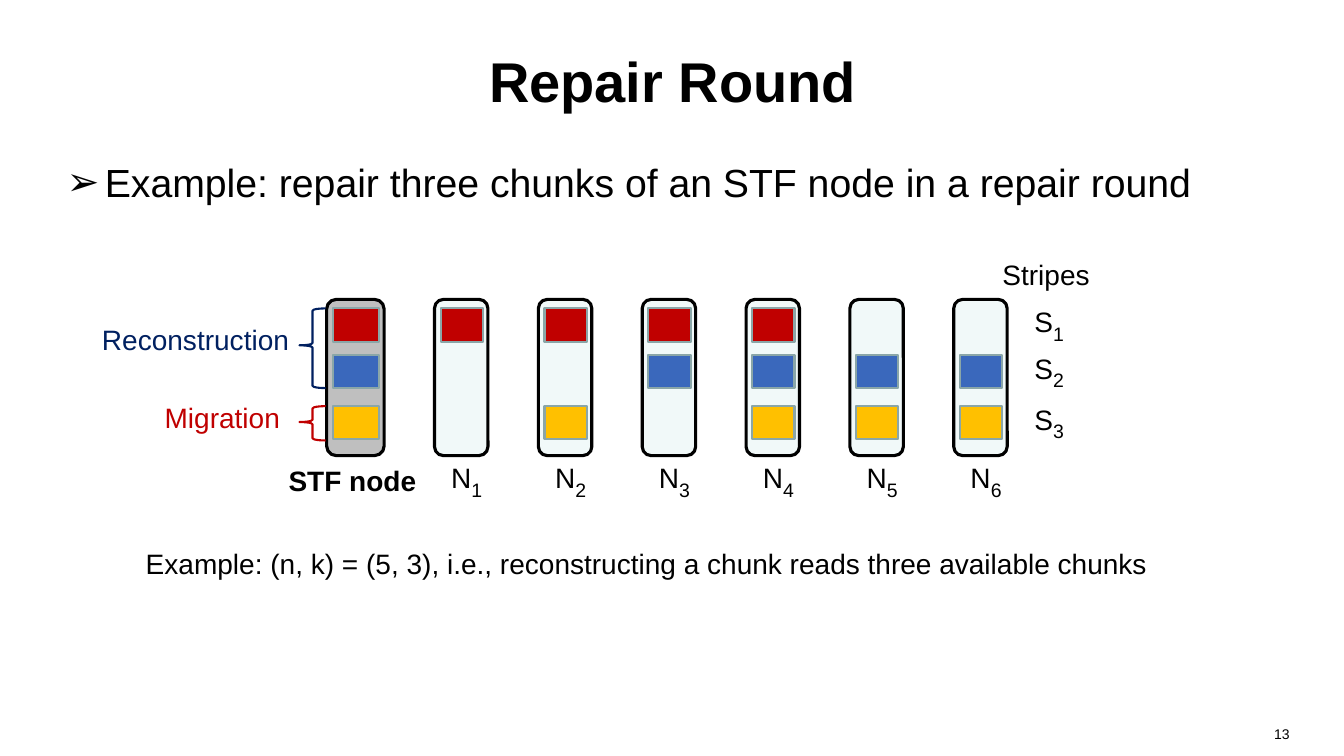
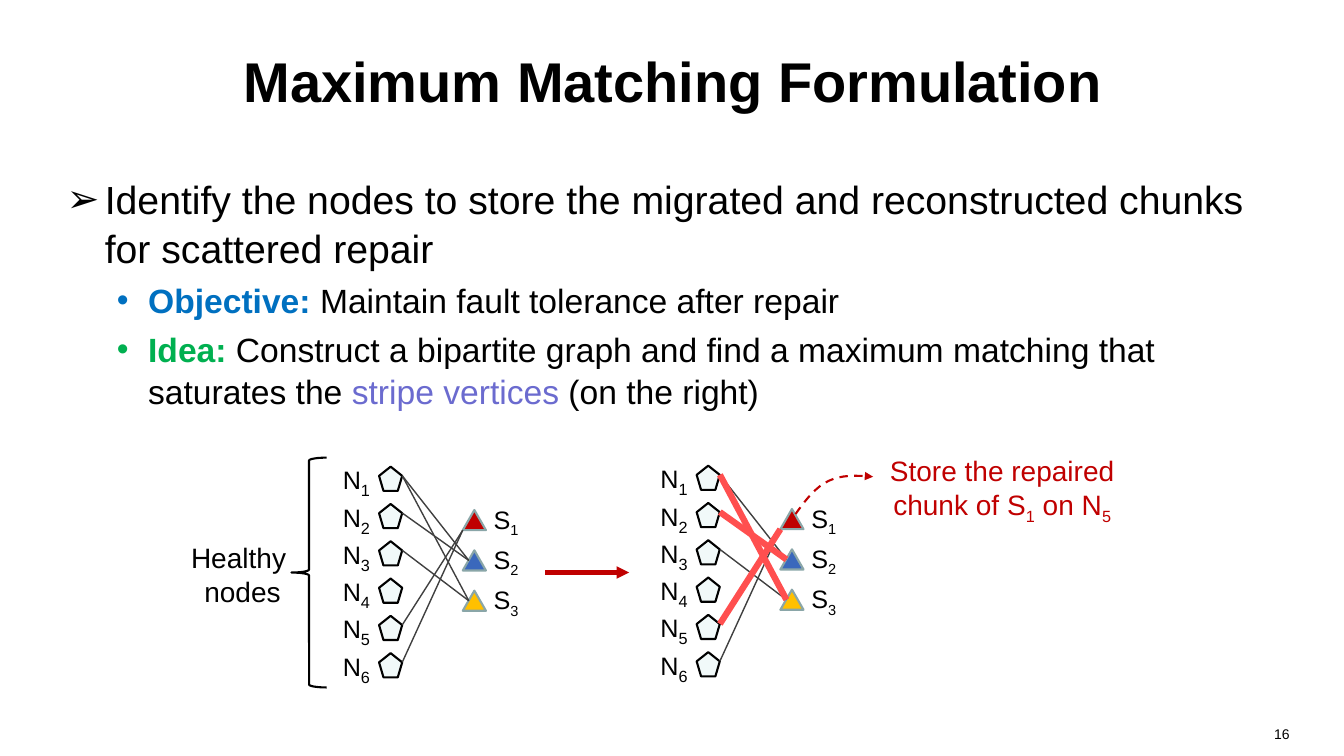
from lxml.etree import SubElement
from pptx import Presentation
from pptx.dml.color import RGBColor
from pptx.enum.dml import MSO_LINE
from pptx.enum.shapes import MSO_CONNECTOR, MSO_SHAPE as Shape
from pptx.enum.text import MSO_ANCHOR as Anchor, MSO_AUTO_SIZE, PP_ALIGN as Align
from pptx.oxml.ns import qn
from pptx.util import Inches, Pt

FONT = "Arial"
COLORS = {
    "black": "000000", "red": "C00000", "blue": "3A68BC", "yellow": "FFC000",
    "navy": "002060", "node": "F1F9F9", "failed": "BFBFBF", "rim": "8AA6A8",
    "edge": "404040", "match": "FF4F4F", "objective": "0070C0",
    "idea": "00B050", "stripe": "6B6BCF",
}
STRIPES = ["red", "blue", "yellow"]
CHUNK_TOPS = [3.06, 3.52, 4.03]
STRIPES_ON_NODE = [[0], [0, 2], [0, 1], [0, 1, 2], [1, 2], [1, 2]]
EDGES = [(1, 2), (1, 3), (2, 2), (3, 3), (5, 1), (6, 1)]
MATCHING = [(5, 1), (2, 2), (1, 3)]
LEVELS = [("➢", 0.38, 0.38, 28), ("•", 0.81, 0.31, 24)]


def rgb(name):
    """Return the named colour."""
    return RGBColor.from_string(COLORS[name])


def span(text, color="black", bold=False, sub=None):
    """Describe a piece of text; sub is the size of a subscript."""
    return text, color, bold, sub


def indexed(letter, number, sub):
    """Return the spans of a letter with a subscript number."""
    return [span(letter), span(str(number), sub=sub)]


def write(para, spans, size):
    """Fill a paragraph with formatted runs."""
    for text, color, bold, sub in spans:
        run = para.add_run()
        run.text = text
        run.font.name = FONT
        run.font.size = Pt(sub or size)
        run.font.bold = bold
        run.font.color.rgb = rgb(color)
        if sub:
            run.font._element.set("baseline", "-25000")


def place(shape, left, top, width, height):
    """Move and size a shape, in inches."""
    shape.left, shape.top = Inches(left), Inches(top)
    shape.width, shape.height = Inches(width), Inches(height)


def add_label(page, box, *lines, size=20, align=Align.CENTER, anchor=Anchor.MIDDLE):
    """Add a text box with one paragraph per line of spans."""
    frame = page.shapes.add_textbox(*map(Inches, box)).text_frame
    frame.word_wrap = True
    frame.vertical_anchor = anchor
    for index, spans in enumerate(lines):
        para = frame.add_paragraph() if index else frame.paragraphs[0]
        para.alignment = align
        write(para, spans, size)


def add_shape(page, kind, box, fill, line, weight=1.5):
    """Add an outlined shape, unfilled when fill is None."""
    shape = page.shapes.add_shape(kind, *map(Inches, box))
    shape.shadow.inherit = False
    if fill:
        shape.fill.solid()
        shape.fill.fore_color.rgb = rgb(fill)
    else:
        shape.fill.background()
    shape.line.color.rgb = rgb(line)
    shape.line.width = Pt(weight)
    return shape


def add_brace(page, box, color, middle=0.5):
    """Add a left brace with its point at the given share of the height."""
    brace = add_shape(page, Shape.LEFT_BRACE, box, None, color)
    brace.adjustments[0] = 0.083
    brace.adjustments[1] = middle


def add_arrowhead(shape):
    """Put a triangle at the end of a line."""
    SubElement(shape.element.spPr.find(qn("a:ln")), qn("a:tailEnd"), type="triangle")


def add_line(page, start, end, color, weight):
    """Add a straight line between two points."""
    line = page.shapes.add_connector(
        MSO_CONNECTOR.STRAIGHT, *map(Inches, (*start, *end)))
    line.line.color.rgb = rgb(color)
    line.line.width = Pt(weight)
    SubElement(line.element.spPr, qn("a:effectLst"))
    return line


def add_dashed_curve(page, points, color):
    """Add a dashed arrow along cubic curves, three points to each."""
    start, *rest = [(Inches(x), Inches(y)) for x, y in points]
    builder = page.shapes.build_freeform(*start, scale=1.0)
    builder.add_line_segments(rest, close=False)
    shape = builder.convert_to_shape()
    outline = shape.element.find(".//" + qn("a:path"))
    corners = outline.findall(qn("a:lnTo"))
    for first in range(0, len(corners), 3):
        curve = SubElement(outline, qn("a:cubicBezTo"))
        for corner in corners[first:first + 3]:
            curve.append(corner[0])
            outline.remove(corner)
    shape.shadow.inherit = False
    shape.fill.background()
    shape.line.color.rgb = rgb(color)
    shape.line.width = Pt(1.5)
    shape.line.dash_style = MSO_LINE.DASH
    add_arrowhead(shape)


def add_bullet(para, level, spans, first):
    """Format a list paragraph of the given level."""
    char, margin, hanging, size = LEVELS[level]
    para.level = level
    props = para._p.get_or_add_pPr()
    props.set("marL", str(Inches(margin)))
    props.set("indent", str(-Inches(hanging)))
    SubElement(props, qn("a:buFont"), typeface=FONT)
    SubElement(props, qn("a:buChar"), char=char)
    para.alignment = Align.LEFT
    para.space_before = Pt(0 if first else 5)
    para.line_spacing = 1.04
    write(para, spans, size)


def add_page(deck, title, number, body_top, body_height, bullets):
    """Add a slide with its title, list and page number."""
    page = deck.slides.add_slide(deck.slide_layouts[1])
    heading, body = page.placeholders
    place(heading, 0.67, 0.17, 12, 1.25)
    place(body, 0.56, body_top, 12, body_height)
    for holder, anchor in ((heading, Anchor.MIDDLE), (body, Anchor.TOP)):
        holder.text_frame.auto_size = MSO_AUTO_SIZE.NONE
        holder.text_frame.vertical_anchor = anchor
    para = heading.text_frame.paragraphs[0]
    para.alignment = Align.CENTER
    write(para, [span(title, bold=True)], 40)
    frame = body.text_frame
    for index, (level, spans) in enumerate(bullets):
        para = frame.add_paragraph() if index else frame.paragraphs[0]
        add_bullet(para, level, spans, index == 0)
    add_label(page, (9.78, 7.15, 3.11, 0.35), [span(str(number))],
              size=10, align=Align.RIGHT, anchor=Anchor.TOP)
    return page


def add_node(page, left, width, fill, stripes):
    """Add a storage node with its chunks."""
    node = (left, 2.97, width, 1.55)
    add_shape(page, Shape.ROUNDED_RECTANGLE, node, fill, "black", 2.25)
    for stripe in stripes:
        chunk = (left + 0.06, CHUNK_TOPS[stripe], width - 0.11, 0.33)
        add_shape(page, Shape.RECTANGLE, chunk, STRIPES[stripe], "rim")


def add_graph(page, left, top, matching):
    """Add a bipartite graph of nodes and stripes with its matching."""
    starts, ends = {}, {}
    for number in range(1, 7):
        y = top + 0.37 * (number - 1)
        add_shape(page, Shape.REGULAR_PENTAGON, (left, y, 0.23, 0.24), "node", "black")
        add_label(page, (left - 0.51, y, 0.57, 0.28), indexed("N", number, 20), size=18)
        starts[number] = (left + 0.23, y + 0.09)
    for number, color in enumerate(STRIPES, 1):
        x, y = left + 0.83, top + 0.43 + 0.4 * (number - 1)
        add_shape(page, Shape.ISOSCELES_TRIANGLE, (x, y, 0.23, 0.2), color, "rim")
        add_label(page, (x + 0.12, y - 0.03, 0.62, 0.28), indexed("S", number, 18), size=18)
        ends[number] = (x, y + 0.2) if number == 1 else (x + 0.06, y + 0.1)
    for edge in EDGES:
        if edge not in matching:
            add_line(page, starts[edge[0]], ends[edge[1]], "edge", 1)
    for node, stripe in matching:
        add_line(page, starts[node], ends[stripe], "match", 4.5)


def build_repair_round(deck):
    """Build the slide about a repair round."""
    page = add_page(deck, "Repair Round", 13, 1.5, 0.75, [
        (0, [span("Example: repair three chunks of an STF node in a repair round")])])
    add_node(page, 3.24, 0.57, "failed", [0, 1, 2])
    add_label(page, (2.7, 4.53, 1.59, 0.47), [span("STF node", bold=True)])
    for index, stripes in enumerate(STRIPES_ON_NODE):
        left = 4.31 + 1.03 * index
        add_node(page, left, 0.53, "node", stripes)
        add_label(page, (left + 0.02, 4.51, 0.6, 0.47), indexed("N", index + 1, 24))
    add_label(page, (9.58, 2.49, 1.59, 0.47), [span("Stripes")])
    for number, top in enumerate(CHUNK_TOPS, 1):
        add_label(page, (10.11, top - 0.1, 0.59, 0.47), indexed("S", number, 24))
    add_brace(page, (2.97, 3.06, 0.26, 0.79), "navy", 0.463)
    add_brace(page, (2.97, 4.03, 0.26, 0.34), "red", 0.463)
    add_label(page, (0.71, 3.11, 2.46, 0.52), [span("Reconstruction", "navy")])
    add_label(page, (1.4, 3.86, 1.61, 0.56), [span("Migration", "red")])
    add_label(page, (1.04, 5.25, 10.75, 0.67), [span(
        "Example: (n, k) = (5, 3), i.e., reconstructing a chunk reads three available chunks")])


def build_matching(deck):
    """Build the slide about the maximum matching."""
    page = add_page(deck, "Maximum Matching Formulation", 16, 1.67, 5.17, [
        (0, [span("Identify the nodes to store the migrated and reconstructed "
                  "chunks for scattered repair")]),
        (1, [span("Objective: ", "objective", True),
             span("Maintain fault tolerance after repair")]),
        (1, [span("Idea: ", "idea", True),
             span("Construct a bipartite graph and find a maximum matching "
                  "that saturates the "),
             span("stripe vertices ", "stripe"), span("(on the right)")])])
    add_label(page, (8.59, 4.35, 2.7, 1.01), [
        span("Store the repaired chunk of S", "red"), span("1", "red", sub=20),
        span(" on N", "red"), span("5", "red", sub=20)])
    add_brace(page, (2.89, 4.54, 0.35, 2.28), "black")
    add_label(page, (1.75, 5.41, 1.31, 0.57), [span("Healthy ")], [span("nodes")])
    add_graph(page, 3.76, 4.63, [])
    add_arrowhead(add_line(page, (5.41, 5.68), (6.24, 5.68), "red", 3))
    add_graph(page, 6.91, 4.62, MATCHING)
    add_dashed_curve(page, [
        (7.89, 5.1), (7.99, 4.96), (8.09, 4.83), (8.22, 4.77),
        (8.35, 4.71), (8.59, 4.72), (8.66, 4.73)], "red")


def main():
    """Build and save the deck."""
    deck = Presentation()
    deck.slide_width, deck.slide_height = Inches(13.33), Inches(7.5)
    build_repair_round(deck)
    build_matching(deck)
    deck.save("out.pptx")


if __name__ == "__main__":
    main()
